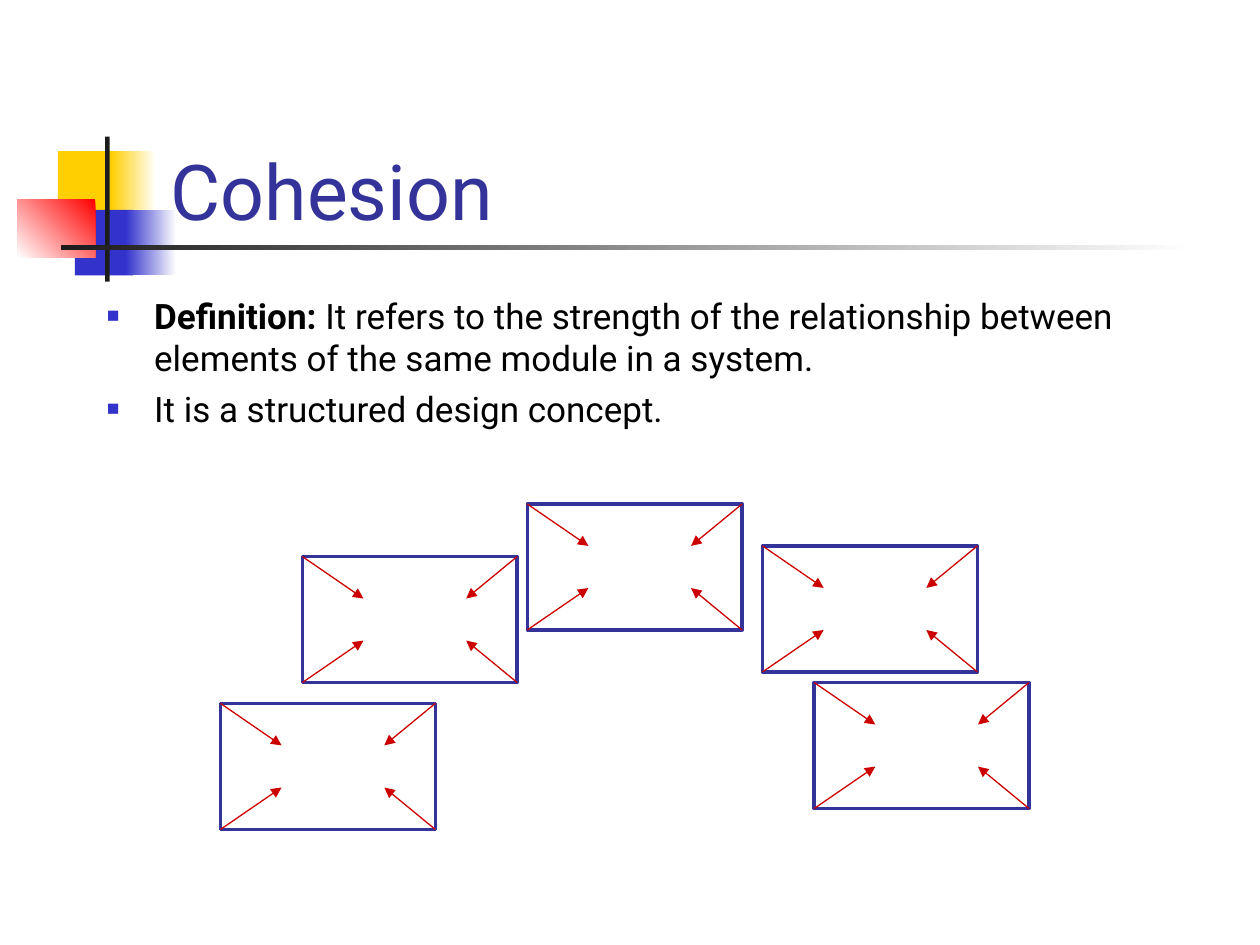
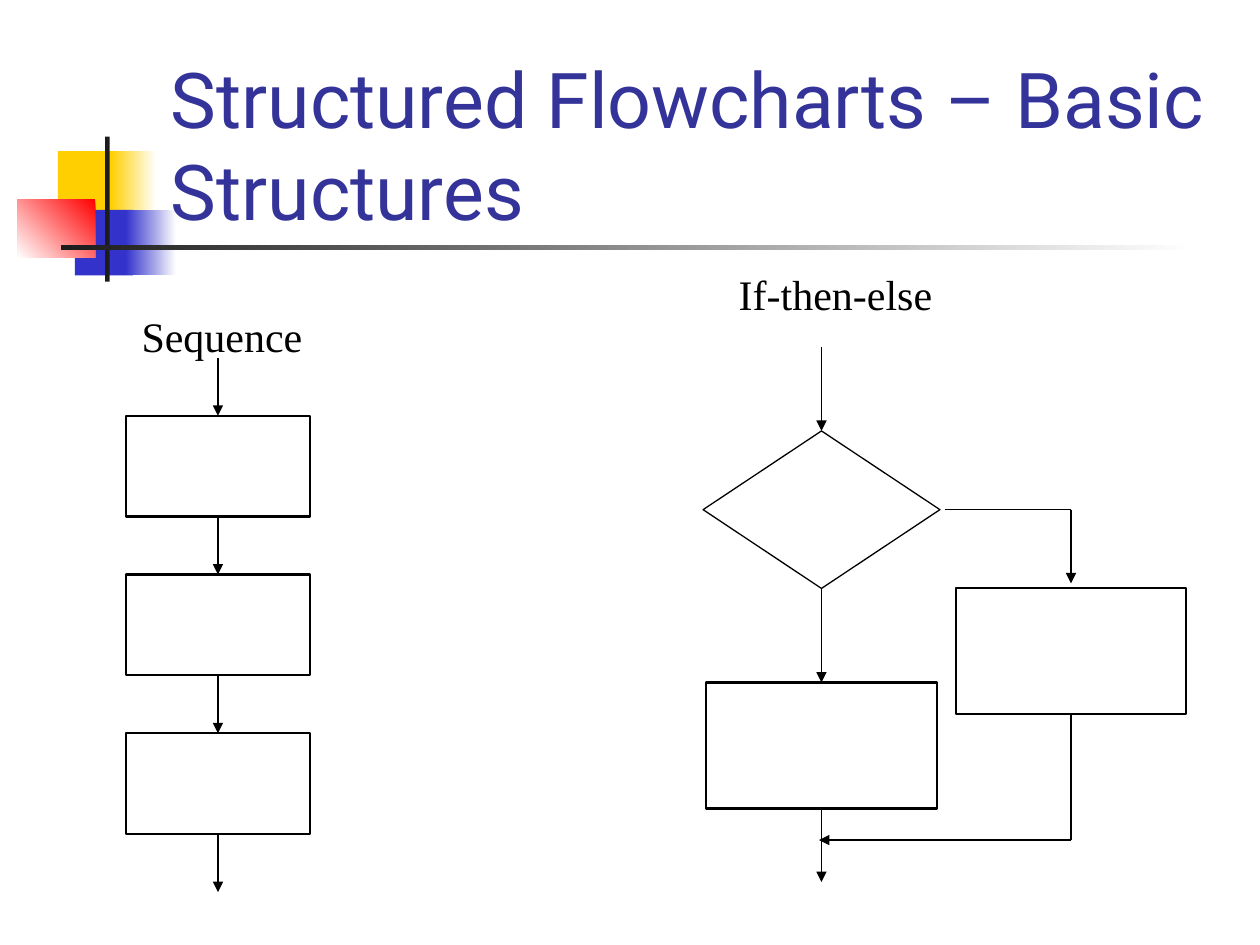
from dataclasses import dataclass

from lxml.etree import SubElement
from pptx import Presentation
from pptx.dml.color import RGBColor as Rgb
from pptx.enum.shapes import MSO_CONNECTOR as Connector, MSO_SHAPE as Preset
from pptx.enum.text import MSO_ANCHOR as Anchor, MSO_AUTO_SIZE as AutoSize, PP_ALIGN as Align
from pptx.oxml.ns import qn
from pptx.util import Inches, Pt

TITLE_ONLY = 5
COLUMNS, ROWS = 100, 75  # grid cells of a tenth of an inch


@dataclass(frozen=True)
class Theme:
    white: str = "FFFFFF"
    black: str = "000000"
    dark: str = "1C1C1C"
    yellow: str = "FFCF01"
    blue: str = "3333CC"
    red: str = "FF0000"
    indigo: str = "333399"
    crimson: str = "CC0000"
    sans: str = "Roboto"
    serif: str = "Times New Roman"
    title_size: int = 44
    body_size: int = 20
    label_size: int = 24
    thin: float = 0.75
    medium: float = 1.25
    thick: float = 2


def set_all(target, values):
    for name, value in values.items():
        setattr(target, name, value)


class Builder:
    """Holds the deck, its theme and the current page; lengths are grid cells."""

    def __init__(self, theme):
        self.theme = theme
        self.deck = Presentation()
        set_all(self.deck, {"slide_width": Inches(10), "slide_height": Inches(7.5)})
        self.layout = self.deck.slide_layouts[TITLE_ONLY]
        self.page = None

    def x(self, columns):
        return round(self.deck.slide_width * columns / COLUMNS)

    def y(self, rows):
        return round(self.deck.slide_height * rows / ROWS)

    def area(self, left, top, width, height):
        return self.x(left), self.y(top), self.x(width), self.y(height)

    def style_text(self, part, face, size, color, bold=False):
        set_all(part.font, {"name": face, "size": Pt(size), "bold": bold})
        part.font.color.rgb = Rgb.from_string(color)

    def new_page(self, title, width):
        self.page = self.deck.slides.add_slide(self.layout)
        box = self.page.shapes.title
        names = ("left", "top", "width", "height")
        set_all(box, dict(zip(names, self.area(12.55, 6.75, width, 12.5))))
        set_all(box.text_frame, {"text": title, "word_wrap": True,
                                 "auto_size": AutoSize.NONE,
                                 "vertical_anchor": Anchor.BOTTOM})
        para = box.text_frame.paragraphs[0]
        para.alignment = Align.LEFT
        self.style_text(para.runs[0], self.theme.sans, self.theme.title_size, self.theme.indigo)

    def shape(self, area, preset=Preset.RECTANGLE, fill=None, line=None, weight=None):
        """Draw a preset; fill is None, one colour or (start, end, angle)."""
        box = self.page.shapes.add_shape(preset, *self.area(*area))
        box.shadow.inherit = False
        if fill is None:
            box.fill.background()
        elif isinstance(fill, str):
            box.fill.solid()
            box.fill.fore_color.rgb = Rgb.from_string(fill)
        else:
            *colors, angle = fill
            box.fill.gradient()
            box.fill.gradient_angle = angle
            for stop, color in zip(box.fill.gradient_stops, colors):
                stop.color.rgb = Rgb.from_string(color)
        if line:
            box.line.color.rgb = Rgb.from_string(line)
            box.line.width = Pt(weight)
        else:
            box.line.fill.background()
        return box

    def line(self, start, end, color, arrow=True):
        (x1, y1), (x2, y2) = start, end
        link = self.page.shapes.add_connector(
            Connector.STRAIGHT, self.x(x1), self.y(y1), self.x(x2), self.y(y2))
        link.line.color.rgb = Rgb.from_string(color)
        link.line.width = Pt(self.theme.thin)
        if arrow:
            SubElement(link.line._get_or_add_ln(), qn("a:tailEnd"), type="triangle")
        SubElement(link.element.spPr, qn("a:effectLst"))

    def label(self, text, area):
        box = self.page.shapes.add_textbox(*self.area(*area))
        set_all(box.text_frame, {"text": text, "word_wrap": True})
        span = box.text_frame.paragraphs[0].runs[0]
        self.style_text(span, self.theme.serif, self.theme.label_size, self.theme.black)

    def bullets(self, items, area):
        """Each item is a list of (text, bold) spans."""
        frame = self.page.shapes.add_textbox(*self.area(*area)).text_frame
        frame.word_wrap = True
        for index, item in enumerate(items):
            para = frame.add_paragraph() if index else frame.paragraphs[0]
            if index:
                para.space_before = Pt(5)
            self.bullet(para)
            for text, bold in item:
                span = para.add_run()
                span.text = text
                self.style_text(span, self.theme.sans, self.theme.body_size,
                                self.theme.black, bold)

    def bullet(self, para):
        props = para._p.get_or_add_pPr()
        indent = Inches(0.375)
        props.set("marL", str(indent))
        props.set("indent", str(-indent))
        color = SubElement(props, qn("a:buClr"))
        SubElement(color, qn("a:srgbClr"), val=self.theme.blue)
        SubElement(props, qn("a:buSzPct"), val="60000")
        SubElement(props, qn("a:buFont"), typeface=self.theme.serif)
        SubElement(props, qn("a:buChar"), char="■")

    def emblem(self):
        """Draw the coloured squares and rules, then move them to the shared layout."""
        theme = self.theme
        for holder in list(self.layout.placeholders)[1:]:
            holder.element.getparent().remove(holder.element)
        parts = [
            ((4.6, 12, 4.8, 5.2), theme.yellow),
            ((8.8, 12, 3.6, 5.2), (theme.yellow, theme.white, 0)),
            ((5.95, 16.65, 4.6, 5.2), theme.blue),
            ((10, 16.65, 4, 5.2), (theme.blue, theme.white, 0)),
            ((1.4, 15.8, 6.15, 4.65), (theme.red, theme.white, 225)),
            ((8.35, 10.85, 0.35, 11.5), theme.dark),
            ((4.85, 19.45, 90, 0.4), (theme.dark, theme.white, 0)),
        ]
        drawn = [self.shape(area, fill=fill) for area, fill in parts]
        for box in drawn:
            self.layout.shapes.element.append(box.element)

    def module(self, left, top):
        """A module whose corners all pull towards its centre."""
        width, height, rise = 17.05, 10, 3.33
        self.shape((left, top, width, height), line=self.theme.indigo, weight=self.theme.thick)
        for corner_x, run in ((left, 4.85), (left + width, -4.05)):
            for corner_y, climb in ((top, rise), (top + height, -rise)):
                self.line((corner_x, corner_y), (corner_x + run, corner_y + climb),
                          self.theme.crimson)

    def step(self, left, top, width, height):
        self.shape((left, top, width, height), line=self.theme.black, weight=self.theme.medium)


def cohesion(build):
    build.new_page("Cohesion", 85.2)
    build.emblem()
    build.bullets([
        [("Definition:", True),
         (" It refers to the strength of the relationship between elements "
          "of the same module in a system.", False)],
        [("It is a structured design concept.", False)],
    ], (7.5, 22.9, 85, 14.6))
    for left, top in ((41.85, 40), (24, 44.17), (60.52, 43.33), (17.5, 55.83), (64.62, 54.17)):
        build.module(left, top)


def flowcharts(build):
    build.new_page("Structured Flowcharts – Basic Structures", 87.4)
    black = build.theme.black

    # Sequence: three steps, an arrow into each and one out of the last
    left, top, width, height, gap = 10, 33, 14.6, 8, 4.6
    middle = left + width / 2
    for index in range(4):
        step_top = top + index * (height + gap)
        build.line((middle, step_top - gap), (middle, step_top), black)
        if index < 3:
            build.step(left, step_top, width, height)
    build.label("Sequence", (10.25, 24.15, 18, 5))

    # If-then-else: decision, two branches and the join
    main, side = 65.2, 85
    step_width, step_height = 18.3, 10
    decision_top, decision_height = 34.2, 12.5
    then_top, else_top = 54.17, 46.67
    branch, join, end = decision_top + decision_height / 2, 66.67, 70
    build.shape((main - 9.4, decision_top, 18.8, decision_height), Preset.FLOWCHART_DECISION,
                line=black, weight=build.theme.thin)
    for center, step_top in ((main, then_top), (side, else_top)):
        build.step(center - step_width / 2, step_top, step_width, step_height)
    for start, finish in ((27.5, decision_top),
                          (decision_top + decision_height, then_top),
                          (then_top + step_height, end)):
        build.line((main, start), (main, finish), black)
    build.line((75, branch), (side, branch), black, arrow=False)
    build.line((side, branch), (side, 46.3), black)
    build.line((side, else_top + step_height), (side, join), black, arrow=False)
    build.line((side, join), (65, join), black)
    build.label("If-then-else", (57.65, 20.8, 20, 5))


def main():
    build = Builder(Theme())
    cohesion(build)
    flowcharts(build)
    build.deck.save("out.pptx")


if __name__ == "__main__":
    main()
